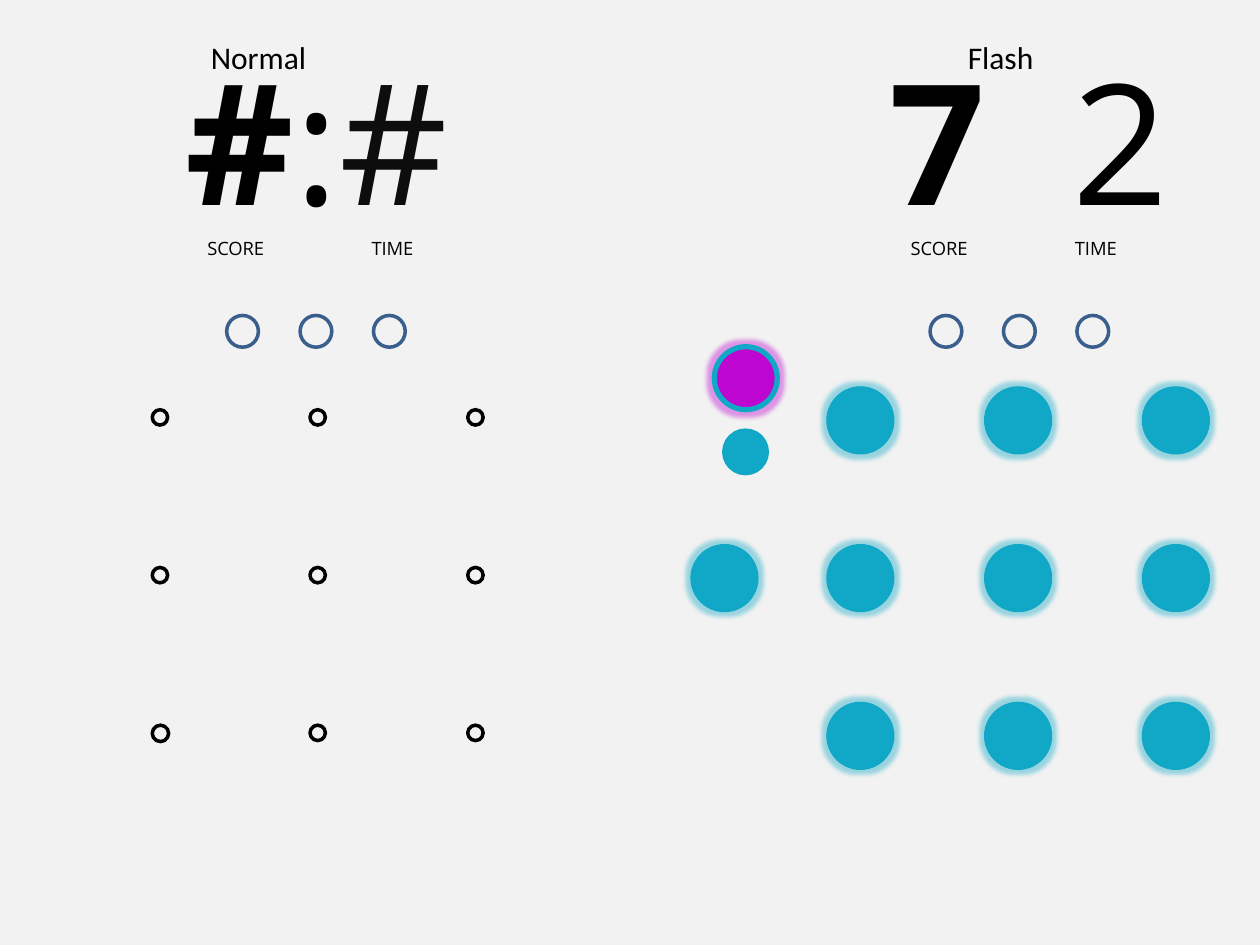
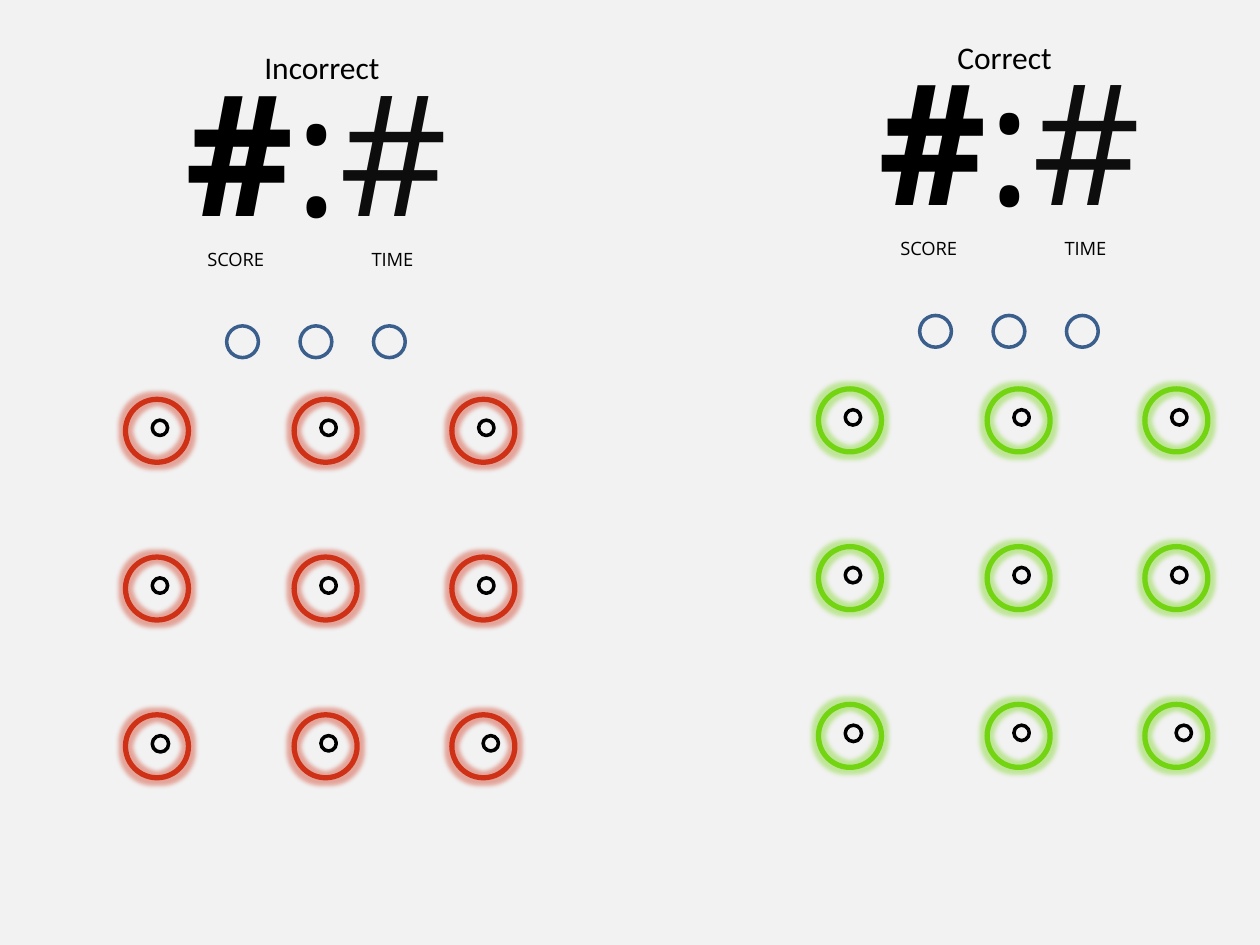
import pptx
import pptx.util
import pptx.dml.color
import pptx.enum.shapes
import pptx.enum.text
import pptx.oxml.ns
from lxml import etree

Cm = pptx.util.Cm
Pt = pptx.util.Pt
RGBColor = pptx.dml.color.RGBColor
qn = pptx.oxml.ns.qn

PAPER = RGBColor(0xF2, 0xF2, 0xF2)
BLACK = RGBColor(0x00, 0x00, 0x00)
COAL = RGBColor(0x0D, 0x0D, 0x0D)
NAVY = RGBColor(0x3A, 0x5F, 0x8C)
TEAL = RGBColor(0x10, 0xA8, 0xC6)
PURPLE = RGBColor(0xBD, 0x06, 0xD0)
GREEN = RGBColor(0x73, 0xD4, 0x12)
RED = RGBColor(0xCF, 0x31, 0x17)

PITCH = 3.18
RING = 1.27
DOT = 0.31
RING_TOP = 7.2
DOT_TOP = 7.62
EVEN = (0, PITCH, 2 * PITCH)
WIDE = (0, 3.4, 3.4 + PITCH)


def add_disc(slide, x, y, size, line, weight, fill=None, glow=None):
    disc = slide.shapes.add_shape(
        pptx.enum.shapes.MSO_SHAPE.OVAL, Cm(x), Cm(y), Cm(size), Cm(size))
    disc.shadow.inherit = False
    disc.line.color.rgb = line
    disc.line.width = Pt(weight)
    if fill is None:
        disc.fill.background()
    else:
        disc.fill.solid()
        disc.fill.fore_color.rgb = fill
    if glow is not None:
        effects = disc._element.spPr.find(qn("a:effectLst"))
        halo = etree.SubElement(effects, qn("a:glow"), rad=str(Pt(5)))
        tint = etree.SubElement(halo, qn("a:srgbClr"), val=str(glow))
        etree.SubElement(tint, qn("a:alpha"), val="40000")


def add_text(slide, x, y, width, height, runs, size, font, wrap=False):
    box = slide.shapes.add_textbox(Cm(x), Cm(y), Cm(width), Cm(height))
    box.text_frame.word_wrap = wrap
    box.text_frame.auto_size = pptx.enum.text.MSO_AUTO_SIZE.SHAPE_TO_FIT_TEXT
    para = box.text_frame.paragraphs[0]
    para.font.size = Pt(size)
    para.font.name = font
    for text, bold, color in runs:
        run = para.add_run()
        run.text = text
        run.font.bold = bold
        run.font.color.rgb = color
    return para


def add_label(slide, x, y, width, text):
    add_text(slide, x, y, width, 0.73, [(text, False, BLACK)], 10.5, "Open Sans")


def add_title(slide, x, y, width, text):
    add_text(slide, x, y, width, 1.02, [(text, False, BLACK)], 18, "Calibri")


def add_score(slide, left, top, runs, width=5.93, stop=None):
    for i in range(3):
        add_disc(slide, left + 1.07 + i * 1.48, top + 5.72, 0.64, NAVY, 2)
    para = add_text(slide, left, top, width, 4.37, runs, 96, "Open Sans", True)
    if stop is not None:
        tabs = etree.SubElement(para._p.get_or_add_pPr(), qn("a:tabLst"))
        etree.SubElement(tabs, qn("a:tab"), pos=str(Cm(stop)), algn="l")
        props = para._p.pPr
        props.insert(0, tabs)
    add_label(slide, left + 0.43, top + 4.02, 1.68, "SCORE")
    add_label(slide, left + 3.74, top + 4.02, 1.35, "TIME")


def add_rings(slide, left, top, cols, color, fill=None):
    for row in range(3):
        for x in cols:
            add_disc(slide, left - 0.97 + x, top + RING_TOP + row * PITCH,
                     RING, color, 3, fill, color)


def add_dots(slide, left, top, cols, nudge=0):
    for row in range(3):
        for col, x in enumerate(cols):
            size = 0.33 if (row, col) == (2, 0) else DOT
            shift = nudge if (row, col) == (2, 2) else 0
            add_disc(slide, left - 0.43 + x + shift,
                     top + DOT_TOP + row * PITCH, size, BLACK, 2)


HASHES = [("#", True, BLACK), (":", False, BLACK), ("#", False, COAL)]


def add_normal(slide, left, top):
    add_dots(slide, left, top, EVEN)
    add_score(slide, left, top, HASHES)
    add_title(slide, left + 0.5, top, 2.46, "Normal")


def add_flash(slide, left, top):
    digits = [("7\t", True, BLACK), ("2", False, BLACK)]
    add_score(slide, left, top, digits, 7.72, 3.7)
    add_title(slide, left + 1.58, top, 1.85, "Flash")
    add_rings(slide, left, top, EVEN, TEAL, TEAL)
    add_disc(slide, left - 3.28, top + 6.35, RING, TEAL, 3, PURPLE, PURPLE)
    add_disc(slide, left - 3.07, top + 8.05, 0.84, TEAL, 3, TEAL)
    add_disc(slide, left - 3.71, top + RING_TOP + PITCH, RING, TEAL, 3, TEAL, TEAL)


def add_result(slide, left, top, title, width, color):
    add_score(slide, left, top, HASHES)
    add_title(slide, left + 1.58, top, width, title)
    add_rings(slide, left, top, WIDE, color)
    add_dots(slide, left, top, WIDE, 0.09)


def add_page(deck):
    slide = deck.slides.add_slide(deck.slide_layouts[6])
    slide.background.fill.solid()
    slide.background.fill.fore_color.rgb = PAPER
    return slide


def main():
    deck = pptx.Presentation()
    deck.slide_width = Cm(25.4)
    deck.slide_height = Cm(19.05)

    modes = add_page(deck)
    add_normal(modes, 3.5, 0.64)
    add_flash(modes, 17.68, 0.64)

    results = add_page(deck)
    add_result(results, 17.47, 0.64, "Correct", 2.44, GREEN)
    add_result(results, 3.5, 0.85, "Incorrect", 2.87, RED)

    deck.save("out.pptx")


if __name__ == "__main__":
    main()
